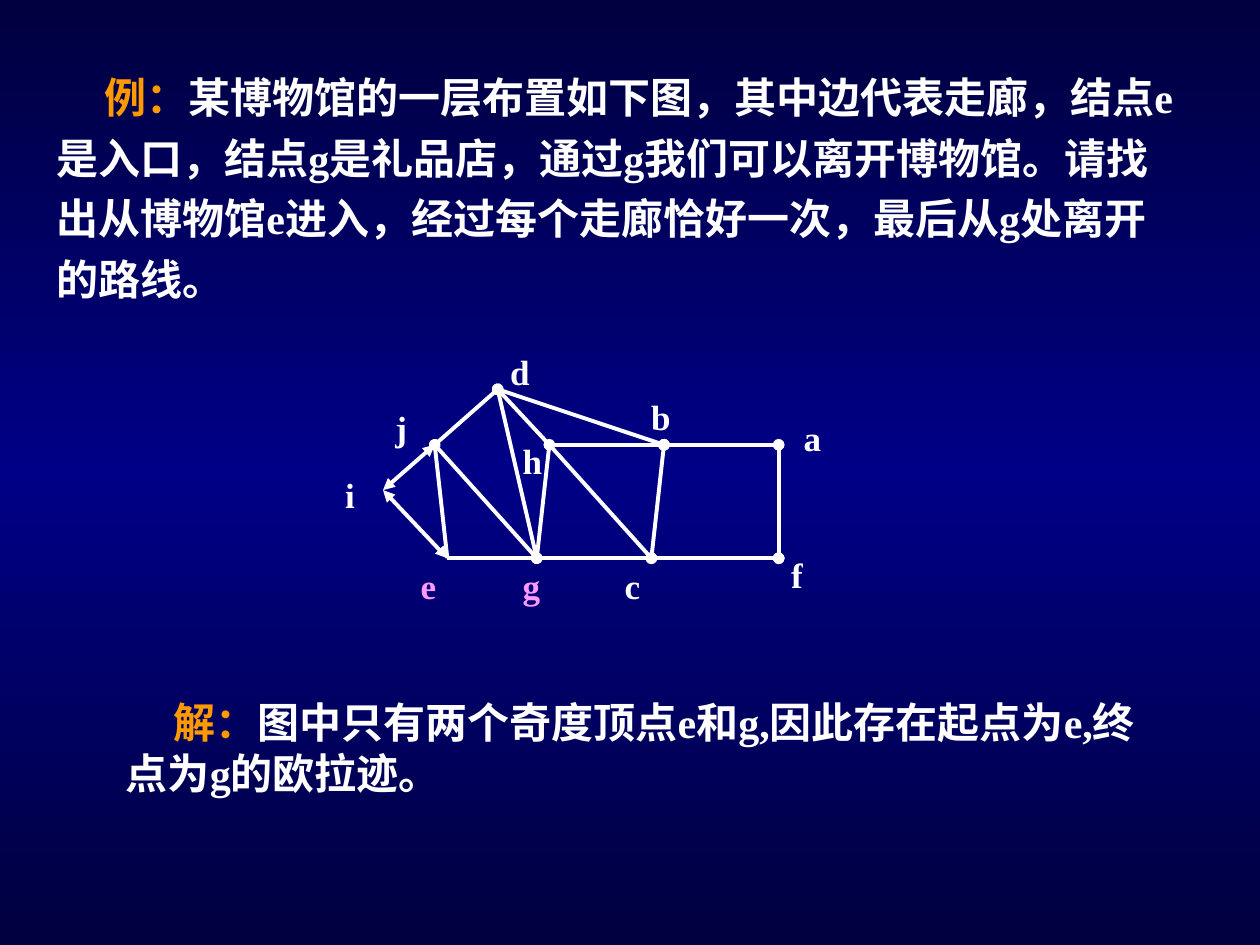
import copy
import pptx
import pptx.util
import pptx.dml.color
import pptx.enum.shapes
import pptx.oxml
import pptx.oxml.ns

Inches = pptx.util.Inches
Pt = pptx.util.Pt
WHITE, ORANGE, PINK = "FFFFFF", "FF9900", "FF99FF"

NODES = {
    "a": (3.54, 0.8, 3.64, 0.53),
    "f": (3.54, 1.7, 3.54, 1.61),
    "e": (0.91, 1.7, 0.6, 1.7),
    "d": (1.31, 0.36, 1.31, 0),
    "c": (2.53, 1.7, 2.22, 1.7),
    "b": (2.63, 0.8, 2.43, 0.36),
    "i": (0.4, 1.16, 0, 0.98),
    "h": (1.72, 0.8, 1.41, 0.71),
    "g": (1.62, 1.7, 1.41, 1.7),
    "j": (0.81, 0.8, 0.4, 0.45),
}
EDGES = [
    ("dj", None), ("ji", "triangle"), ("ie", "triangle"), ("db", "oval"),
    ("je", None), ("eg", None), ("jg", "oval"), ("dg", "oval"),
    ("dh", None), ("hb", "oval"), ("hg", None), ("gc", None),
    ("hc", None), ("bc", "oval"), ("cf", "oval"), ("ba", None), ("af", "oval"),
]


def color(code):
    return pptx.dml.color.RGBColor.from_string(code)


def paint(slide):
    fill = slide.background.fill
    fill.gradient()
    fill.gradient_angle = 270
    stops = slide.element.find(".//" + pptx.oxml.ns.qn("a:gsLst"))
    stops.insert(1, copy.deepcopy(stops[0]))
    for stop, place, code in zip(fill.gradient_stops, (0, 0.5, 1),
                                 ("00003E", "000086", "00003E")):
        stop.position = place
        stop.color.rgb = color(code)


def write(shapes, box, runs, size):
    frame = shapes.add_textbox(*map(Inches, box)).text_frame
    frame.word_wrap = True
    para = frame.paragraphs[0]
    for text, code in runs:
        run = para.add_run()
        run.text = text
        font = run.font
        font.name = "Times New Roman"
        font.size = Pt(size)
        font.bold = True
        font.color.rgb = color(code)
    return para


def passage(slide, box, head, body, space=1.0):
    para = write(slide.shapes, box, [(head, ORANGE), (body, WHITE)], 24)
    para.line_spacing = space
    para._p.get_or_add_pPr().set("indent", str(Inches(0.38)))


def edge(shapes, start, end, mark):
    line = shapes.add_connector(
        pptx.enum.shapes.MSO_CONNECTOR.STRAIGHT, *map(Inches, start + end))
    line.line.color.rgb = color(WHITE)
    line.line.width = Pt(2.25)
    if mark:
        for tag in ("a:headEnd", "a:tailEnd"):
            tip = pptx.oxml.ns.qn(tag)
            line.line._get_or_add_ln().append(
                line.element.makeelement(tip, {"type": mark}))
    glow = pptx.oxml.ns.qn("a:effectLst")
    line.element.spPr.append(line.element.makeelement(glow, {}))


def graph(slide, box):
    left, top = box[:2]
    shapes = slide.shapes.add_group_shape().shapes
    spots = {name: (left + x, top + y)
             for name, (x, y, _, _) in NODES.items()}
    for (start, end), mark in EDGES:
        edge(shapes, spots[start], spots[end], mark)
    for name, (_, _, x, y) in NODES.items():
        code = PINK if name in "eg" else WHITE
        write(shapes, (left + x, top + y, 0.53, 0.44), [(name, code)], 20)


def main():
    deck = pptx.Presentation()
    deck.slide_width = Inches(10)
    deck.slide_height = Inches(7.5)
    slide = deck.slides.add_slide(deck.slide_layouts[6])
    paint(slide)
    passage(slide, (0.35, 0.44, 9.13, 2.02), "例：",
            "某博物馆的一层布置如下图，其中边代表走廊，结点e是入口，"
            "结点g是礼品店，通过g我们可以离开博物馆。请找出从博物馆e进入，"
            "经过每个走廊恰好一次，最后从g处离开的路线。", 1.2)
    graph(slide, (2.64, 2.73, 4.17, 2.14))
    passage(slide, (0.9, 5.48, 8.42, 0.9), "解：",
            "图中只有两个奇度顶点e和g,因此存在起点为e,终点为g的欧拉迹。")
    deck.save("out.pptx")


if __name__ == "__main__":
    main()
